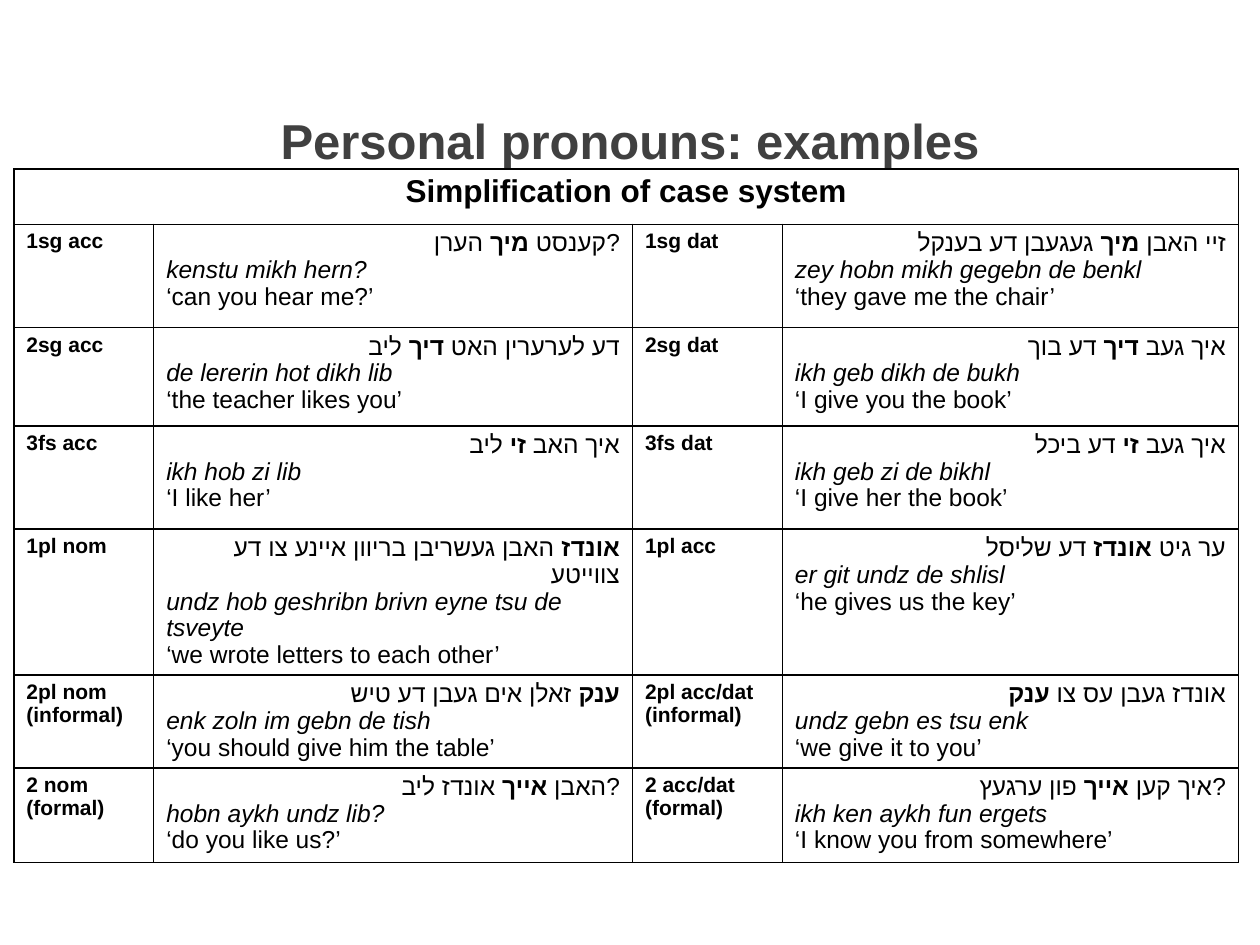
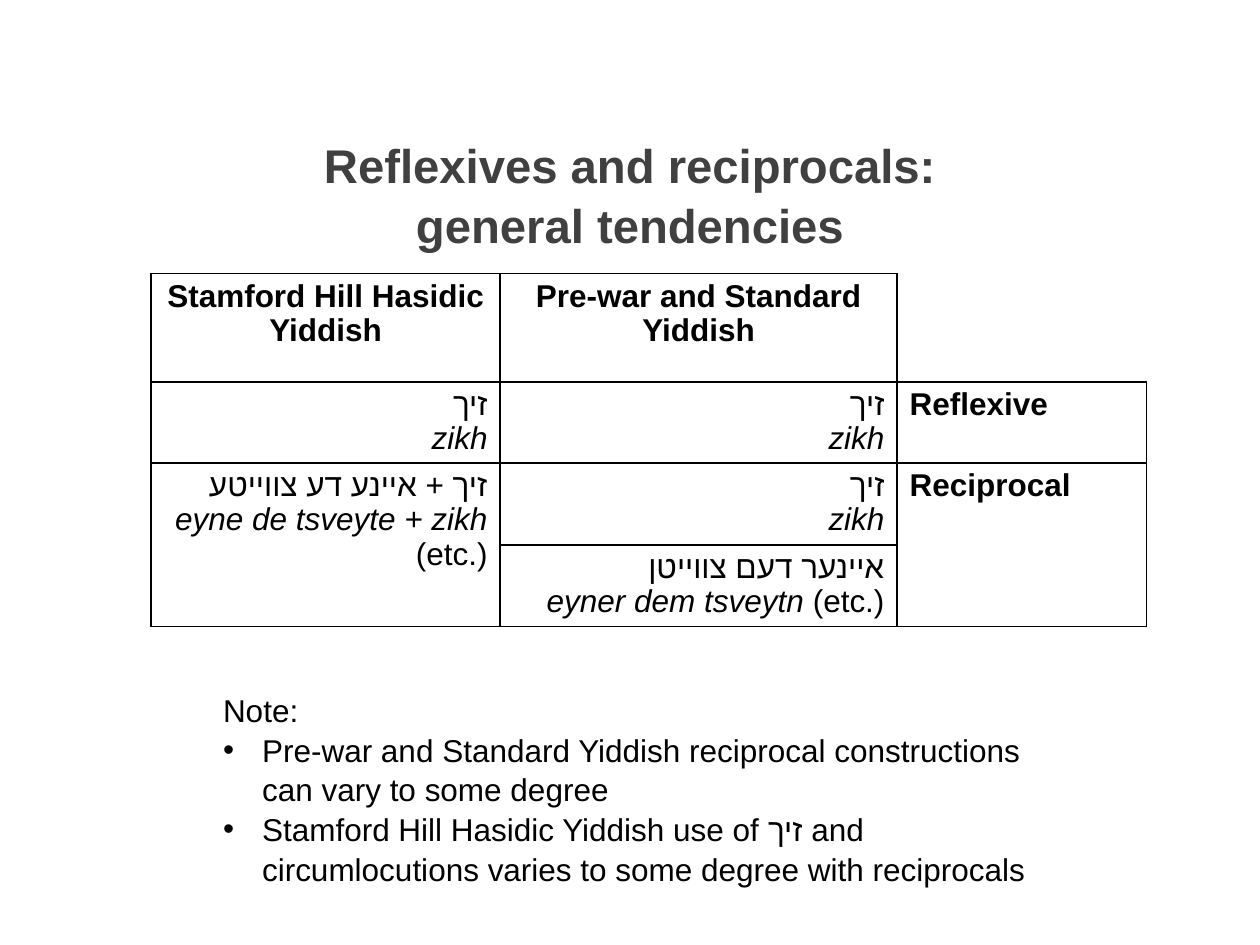
"""Build two slides on Yiddish pronouns, reflexives and reciprocals."""
from dataclasses import dataclass
from typing import Any, Sequence

import lxml.etree
import pptx
import pptx.dml.color
import pptx.enum.text
import pptx.oxml
import pptx.oxml.ns
import pptx.util

FONT = "Arial"
BLACK = pptx.dml.color.RGBColor(0, 0, 0)
TITLE_GRAY = pptx.dml.color.RGBColor(0x40, 0x40, 0x40)
GRID_COLUMNS, GRID_ROWS = 10, 7.5
CELL = pptx.util.Inches(1)
BORDER_SIDES = ("L", "R", "T", "B")
LEFT = pptx.enum.text.PP_ALIGN.LEFT
CENTER = pptx.enum.text.PP_ALIGN.CENTER
RIGHT = pptx.enum.text.PP_ALIGN.RIGHT


@dataclass(frozen=True)
class Box:
    """A place on the slide, in grid columns and rows."""
    column: float
    row: float
    columns: float
    rows: float


@dataclass(frozen=True)
class Line:
    """A paragraph; asterisks enclose bold words, underscores italic ones."""
    text: str
    size: float = 18
    align: Any = LEFT
    bold: bool = False
    right_to_left: bool = False
    color: Any = BLACK
    spacing: float = 0.97


@dataclass(frozen=True)
class Example:
    """A pronoun form with its sentence, transliteration and translation."""
    form: str
    yiddish: str
    transliteration: str
    translation: str

    def lines(self) -> list[Line]:
        """Return the sentence in its three versions."""
        return [Line(self.yiddish, 14, RIGHT),
                Line(f"_{self.transliteration}_", 14),
                Line(f"‘{self.translation}’", 14)]


@dataclass(frozen=True)
class Entry:
    """The content of a table cell and the area it covers."""
    row: int
    column: int
    lines: Sequence[Line]
    row_span: int = 1
    column_span: int = 1


EXAMPLE_PAIRS = [
    (Example("1sg acc", "קענסט *מיך* הערן?", "kenstu mikh hern?", "can you hear me?"),
     Example("1sg dat", "זיי האבן *מיך* געגעבן דע בענקל",
             "zey hobn mikh gegebn de benkl", "they gave me the chair")),
    (Example("2sg acc", "דע לערערין האט *דיך* ליב",
             "de lererin hot dikh lib", "the teacher likes you"),
     Example("2sg dat", "איך געב *דיך* דע בוך",
             "ikh geb dikh de bukh", "I give you the book")),
    (Example("3fs acc", "איך האב *זי* ליב", "ikh hob zi lib", "I like her"),
     Example("3fs dat", "איך געב *זי* דע ביכל",
             "ikh geb zi de bikhl", "I give her the book")),
    (Example("1pl nom", "*אונדז* האבן געשריבן בריוון איינע צו דע צווייטע",
             "undz hob geshribn brivn eyne tsu de tsveyte",
             "we wrote letters to each other"),
     Example("1pl acc", "ער גיט *אונדז* דע שליסל",
             "er git undz de shlisl", "he gives us the key")),
    (Example("2pl nom (informal)", "*ענק* זאלן אים געבן דע טיש",
             "enk zoln im gebn de tish", "you should give him the table"),
     Example("2pl acc/dat (informal)", "אונדז געבן עס צו *ענק*",
             "undz gebn es tsu enk", "we give it to you")),
    (Example("2 nom (formal)", "האבן *אייך* אונדז ליב?",
             "hobn aykh undz lib?", "do you like us?"),
     Example("2 acc/dat (formal)", "איך קען *אייך* פון ערגעץ?",
             "ikh ken aykh fun ergets", "I know you from somewhere")),
]
NOTES = [
    "Pre-war and Standard Yiddish reciprocal constructions can vary to some degree",
    "Stamford Hill Hasidic Yiddish use of זיך and circumlocutions varies to some "
    "degree with reciprocals",
]


def place(shape: Any, box: Box) -> None:
    """Move a shape to its box."""
    shape.left, shape.top = int(box.column * CELL), int(box.row * CELL)
    shape.width, shape.height = int(box.columns * CELL), int(box.rows * CELL)


def add_child(parent: Any, tag: str, **attributes: str) -> Any:
    """Append a drawing element to a parent."""
    child = lxml.etree.SubElement(parent, pptx.oxml.ns.qn(tag))
    for name, value in attributes.items():
        child.set(name, value)
    return child


def write_line(paragraph: Any, line: Line) -> None:
    """Write and format one paragraph."""
    paragraph.alignment = line.align
    paragraph.line_spacing = line.spacing
    paragraph.space_before = pptx.util.Pt(0)
    if line.right_to_left:
        paragraph._p.get_or_add_pPr().set("rtl", "1")
    font = paragraph.font
    font.name, font.size, font.bold = FONT, pptx.util.Pt(line.size), line.bold
    font.color.rgb = line.color
    mark = "*" if "*" in line.text else "_"
    for index, piece in enumerate(line.text.split(mark)):
        for part_index, part in enumerate(piece.split("\n")):
            if part_index:
                paragraph.add_line_break()
            if part:
                run = paragraph.add_run()
                run.text = part
                if index % 2 and mark == "*":
                    run.font.bold = True
                elif index % 2:
                    run.font.italic = True
                add_child(run._r.get_or_add_rPr(), "a:cs", typeface=FONT)


def write_lines(text_frame: Any, lines: Sequence[Line]) -> None:
    """Fill a text frame with paragraphs."""
    for index, line in enumerate(lines):
        paragraph = text_frame.add_paragraph() if index else text_frame.paragraphs[0]
        write_line(paragraph, line)


def set_borders(cell: Any, sides: Sequence[str]) -> None:
    """Draw the named sides of a cell in black and hide the others."""
    properties = cell._tc.get_or_add_tcPr()
    for side in BORDER_SIDES:
        border = add_child(properties, f"a:ln{side}", w=str(pptx.util.Pt(1)))
        if side in sides:
            fill = add_child(border, "a:solidFill")
            add_child(fill, "a:srgbClr", val=str(BLACK))
        else:
            add_child(border, "a:noFill")


def add_grid_table(slide: Any, column: float, row: float, widths: Sequence[float],
                   heights: Sequence[float], entries: Sequence[Entry],
                   corner: tuple[int, int] | None = None) -> None:
    """Add a bordered table, leaving an optional corner cell open."""
    frame = slide.shapes.add_table(len(heights), len(widths), 0, 0, CELL, CELL)
    place(frame, Box(column, row, sum(widths), sum(heights)))
    table = frame.table
    table.first_row = table.horz_banding = False
    for table_column, width in zip(table.columns, widths):
        table_column.width = int(width * CELL)
    for table_row, height in zip(table.rows, heights):
        table_row.height = int(height * CELL)
    for row_index in range(len(heights)):
        for column_index in range(len(widths)):
            cell = table.cell(row_index, column_index)
            is_corner = (row_index, column_index) == corner
            set_borders(cell, ("L", "B") if is_corner else BORDER_SIDES)
            cell.fill.background()
    for entry in entries:
        cell = table.cell(entry.row, entry.column)
        if entry.row_span * entry.column_span > 1:
            cell.merge(table.cell(entry.row + entry.row_span - 1,
                                  entry.column + entry.column_span - 1))
        write_lines(cell.text_frame, entry.lines)


def add_titled_slide(presentation: Any, layout: int, title: str, row: float,
                     size: float) -> Any:
    """Add a slide with the shared title style."""
    slide = presentation.slides.add_slide(presentation.slide_layouts[layout])
    shape = slide.shapes.title
    place(shape, Box(0.36, row, 9.28, 0.8))
    text_frame = shape.text_frame
    text_frame.vertical_anchor = pptx.enum.text.MSO_ANCHOR.TOP
    text_frame.auto_size = pptx.enum.text.MSO_AUTO_SIZE.NONE
    text_frame.margin_top = pptx.util.Inches(0.07)
    write_lines(text_frame, [Line(title, size, CENTER, True, color=TITLE_GRAY, spacing=1.05)])
    return slide


def add_notes(slide: Any, box: Box) -> None:
    """Write the bulleted remarks under the table."""
    body = slide.placeholders[1]
    place(body, box)
    text_frame = body.text_frame
    text_frame.auto_size = pptx.enum.text.MSO_AUTO_SIZE.NONE
    indent = pptx.util.Inches(0.31)
    for index, note in enumerate(["Note:", *NOTES]):
        paragraph = text_frame.add_paragraph() if index else text_frame.paragraphs[0]
        properties = paragraph._p.get_or_add_pPr()
        properties.set("marL", str(indent if index else 0))
        properties.set("indent", str(-indent if index else 0))
        if index:
            add_child(properties, "a:buFont", typeface=FONT)
            add_child(properties, "a:buChar", char="•")
        else:
            add_child(properties, "a:buNone")
        write_line(paragraph, Line(note, spacing=1.05))


def add_pronoun_slide(presentation: Any) -> None:
    """Add the table of pronoun examples."""
    slide = add_titled_slide(presentation, 5, "Personal pronouns: examples", 0.78, 28)
    heading = Line("Simplification of case system", align=CENTER, bold=True)
    entries = [Entry(0, 0, [heading], column_span=4)]
    for row, pair in enumerate(EXAMPLE_PAIRS, start=1):
        for index, example in enumerate(pair):
            entries.append(Entry(row, 2 * index, [Line(example.form, 12, bold=True)]))
            entries.append(Entry(row, 2 * index + 1, example.lines()))
    add_grid_table(slide, 0.11, 1.34, (1.11, 3.8, 1.19, 3.62),
                   (0.44, 0.82, 0.78, 0.82, 0.95, 0.73, 0.75), entries)


def add_reflexive_slide(presentation: Any) -> None:
    """Add the comparison of reflexives and reciprocals."""
    slide = add_titled_slide(presentation, 1,
                             "Reflexives and reciprocals:\ngeneral tendencies", 0.99, 27)
    zikh = [Line(text, align=RIGHT, right_to_left=True) for text in ("זיך", "_zikh_")]
    circumlocution = [Line(text, align=RIGHT) for text in
                      ("זיך + איינע דע צווייטע", "_eyne de tsveyte + zikh_", "(etc.)")]
    each_other = [Line(text, align=RIGHT, right_to_left=True) for text in
                  ("איינער דעם צווייטן", "_eyner dem tsveytn _(etc.)")]
    varieties = ("Stamford Hill Hasidic Yiddish", "Pre-war and Standard Yiddish")
    entries = [Entry(0, column, [Line(variety, align=CENTER, bold=True)])
               for column, variety in enumerate(varieties)]
    entries += [
        Entry(1, 0, zikh), Entry(1, 1, zikh), Entry(1, 2, [Line("Reflexive", bold=True)]),
        Entry(2, 0, circumlocution, row_span=2), Entry(2, 1, zikh),
        Entry(2, 2, [Line("Reciprocal", bold=True)], row_span=2),
        Entry(3, 1, each_other),
    ]
    add_grid_table(slide, 1.2, 2.17, (2.77, 3.15, 1.98), (0.86, 0.63, 0.65, 0.65),
                   entries, corner=(0, 2))
    add_notes(slide, Box(1.67, 5.42, 6.85, 1.62))


def main() -> None:
    """Build and save the presentation."""
    presentation = pptx.Presentation()
    presentation.slide_width = int(GRID_COLUMNS * CELL)
    presentation.slide_height = int(GRID_ROWS * CELL)
    add_pronoun_slide(presentation)
    add_reflexive_slide(presentation)
    presentation.save("out.pptx")


if __name__ == "__main__":
    main()
